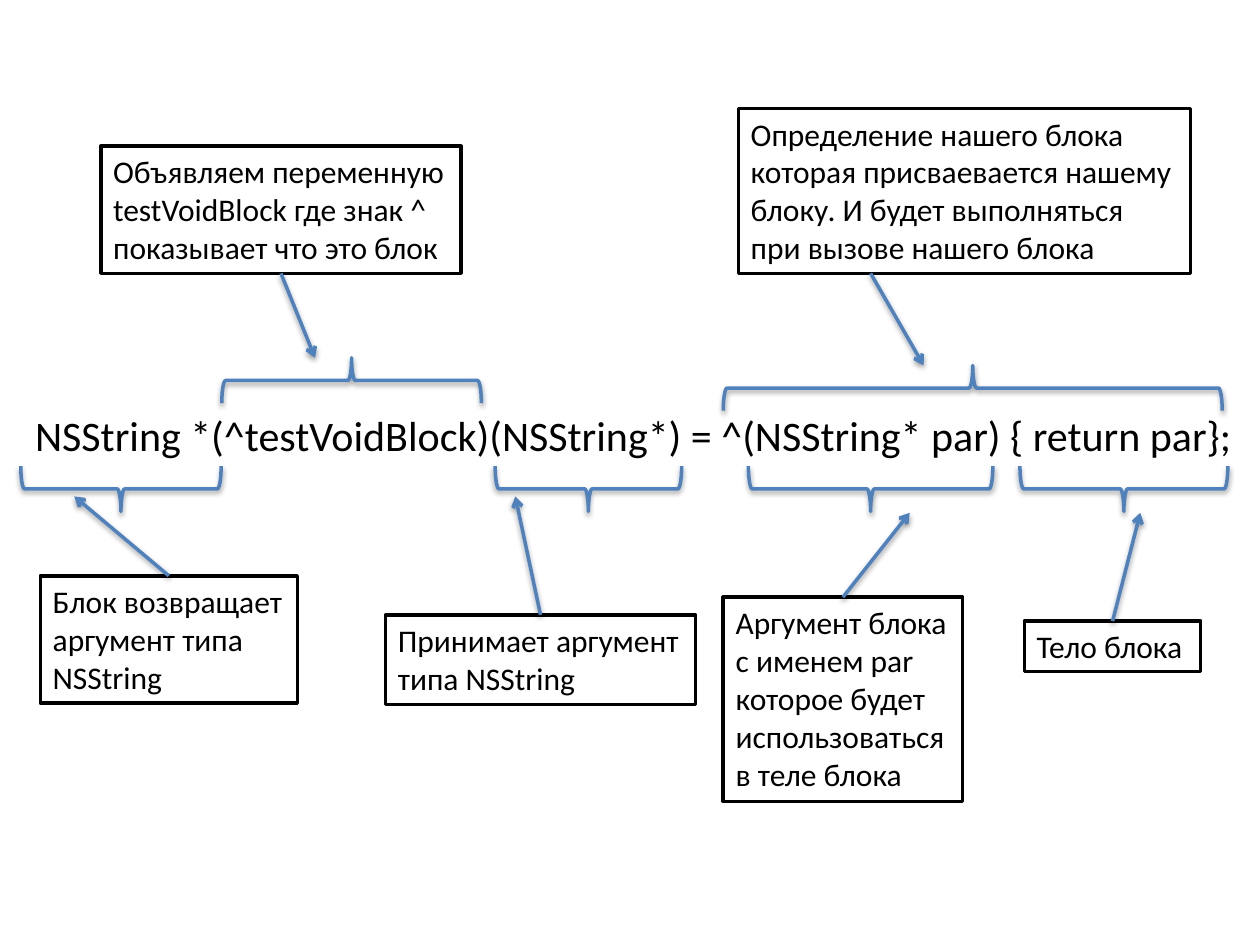
"""Build a slide that explains the parts of an Objective-C block declaration."""
import pptx
import pptx.dml.color
import pptx.enum.shapes
import pptx.enum.text
import pptx.oxml
import pptx.oxml.ns
import pptx.util

COLORS = {"ink": "000000", "paper": "FFFFFF", "accent": "4F81BD"}
NAMESPACE = pptx.oxml.ns.nsdecls("a")
SHADOW = (
    f'<a:effectLst {NAMESPACE}><a:outerShdw blurRad="40000" dist="20000" dir="5400000" '
    f'rotWithShape="0"><a:srgbClr val="{COLORS["ink"]}"><a:alpha val="38000"/></a:srgbClr>'
    "</a:outerShdw></a:effectLst>"
)

deck = pptx.Presentation()
deck.slide_width = pptx.util.Inches(10)
deck.slide_height = pptx.util.Inches(7.5)
page = deck.slides.add_slide(deck.slide_layouts[6])
cell = deck.slide_width / 10


def grid(*lengths):
    return [round(length * cell) for length in lengths]


def add_text(place, lines, size):
    box = page.shapes.add_textbox(*grid(*place))
    frame = box.text_frame
    frame.word_wrap = False
    frame.auto_size = pptx.enum.text.MSO_AUTO_SIZE.SHAPE_TO_FIT_TEXT
    frame.text = "\n".join(lines)
    for para in frame.paragraphs:
        para.font.name = "Calibri"
        para.font.size = pptx.util.Pt(size)
        para.font.color.rgb = pptx.dml.color.RGBColor.from_string(COLORS["ink"])
    return box


add_text((0.18, 3.2, 9.82, 0.5),
         ["NSString *(^testVoidBlock)(NSString*) = ^(NSString* par) { return par};"], 24)

notes = [
    ((0.8, 1.16, 2.86, 1.01),
     ["Объявляем переменную", "testVoidBlock где знак ^", "показывает что это блок"]),
    ((5.86, 0.86, 3.59, 1.31),
     ["Определение нашего блока", "которая присваевается нашему",
      "блоку. И будет выполняться", "при вызове нашего блока"]),
    ((0.32, 4.57, 2.04, 1.01), ["Блок возвращает", "аргумент типа ", "NSString"]),
    ((3.06, 4.88, 2.46, 0.71), ["Принимает аргумент", "типа NSString"]),
    ((5.74, 4.74, 1.9, 1.62),
     ["Аргумент блока", "с именем par", "которое будет ", "использоваться", "в теле блока"]),
    ((8.13, 4.93, 1.4, 0.4), ["Тело блока"]),
]
for place, lines in notes:
    note = add_text(place, lines, 18)
    note.fill.solid()
    note.fill.fore_color.rgb = pptx.dml.color.RGBColor.from_string(COLORS["paper"])
    note.line.color.rgb = pptx.dml.color.RGBColor.from_string(COLORS["ink"])
    note.line.width = pptx.util.Pt(2)

marks = []
depth = 0.36
braces = [
    (2.79, 3.02, 2.06, 90),
    (7.72, 3.08, 3.96, 90),
    (0.96, 3.88, 1.59, 270),
    (4.67, 3.88, 1.48, 270),
    (6.91, 3.88, 1.94, 270),
    (8.92, 3.88, 1.65, 270),
]
for center, middle, span, turn in braces:
    brace = page.shapes.add_shape(
        pptx.enum.shapes.MSO_SHAPE.LEFT_BRACE,
        *grid(center - depth / 2, middle - span / 2, depth, span))
    brace.rotation = turn
    brace.fill.background()
    marks.append(brace)

arrows = [
    (2.23, 2.17, 2.5, 2.84),
    (6.91, 2.17, 7.33, 2.9),
    (1.34, 4.57, 0.59, 3.94),
    (4.29, 4.88, 4.09, 3.94),
    (6.69, 4.74, 7.22, 4.07),
    (8.83, 4.93, 9.05, 4.07),
]
for ends in arrows:
    arrow = page.shapes.add_connector(pptx.enum.shapes.MSO_CONNECTOR.STRAIGHT, *grid(*ends))
    marks.append(arrow)

for mark in marks:
    mark.line.color.rgb = pptx.dml.color.RGBColor.from_string(COLORS["accent"])
    mark.line.width = pptx.util.Pt(2)
    properties = mark._element.spPr
    properties.append(pptx.oxml.parse_xml(SHADOW))
    if mark.shape_type == pptx.enum.shapes.MSO_SHAPE_TYPE.LINE:
        head = pptx.oxml.parse_xml(f'<a:tailEnd {NAMESPACE} type="arrow"/>')
        properties.find(pptx.oxml.ns.qn("a:ln")).append(head)

deck.save("out.pptx")
